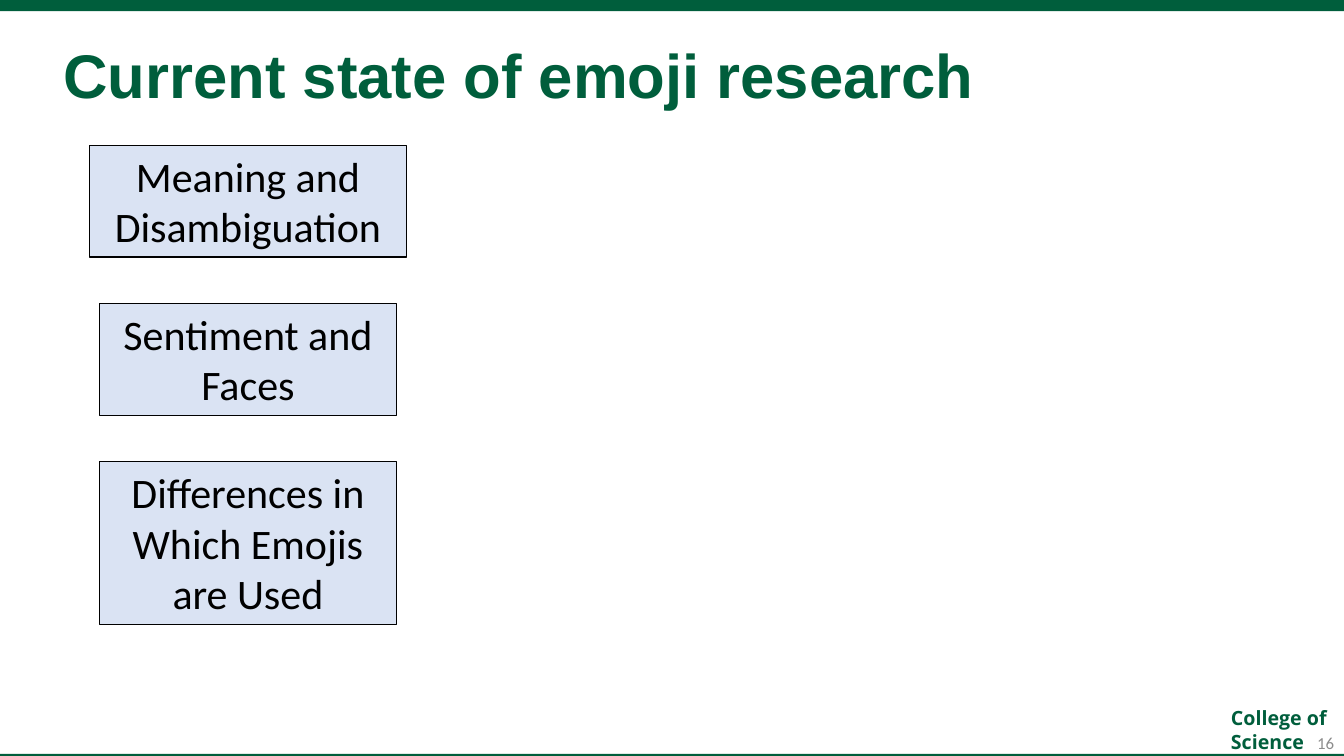
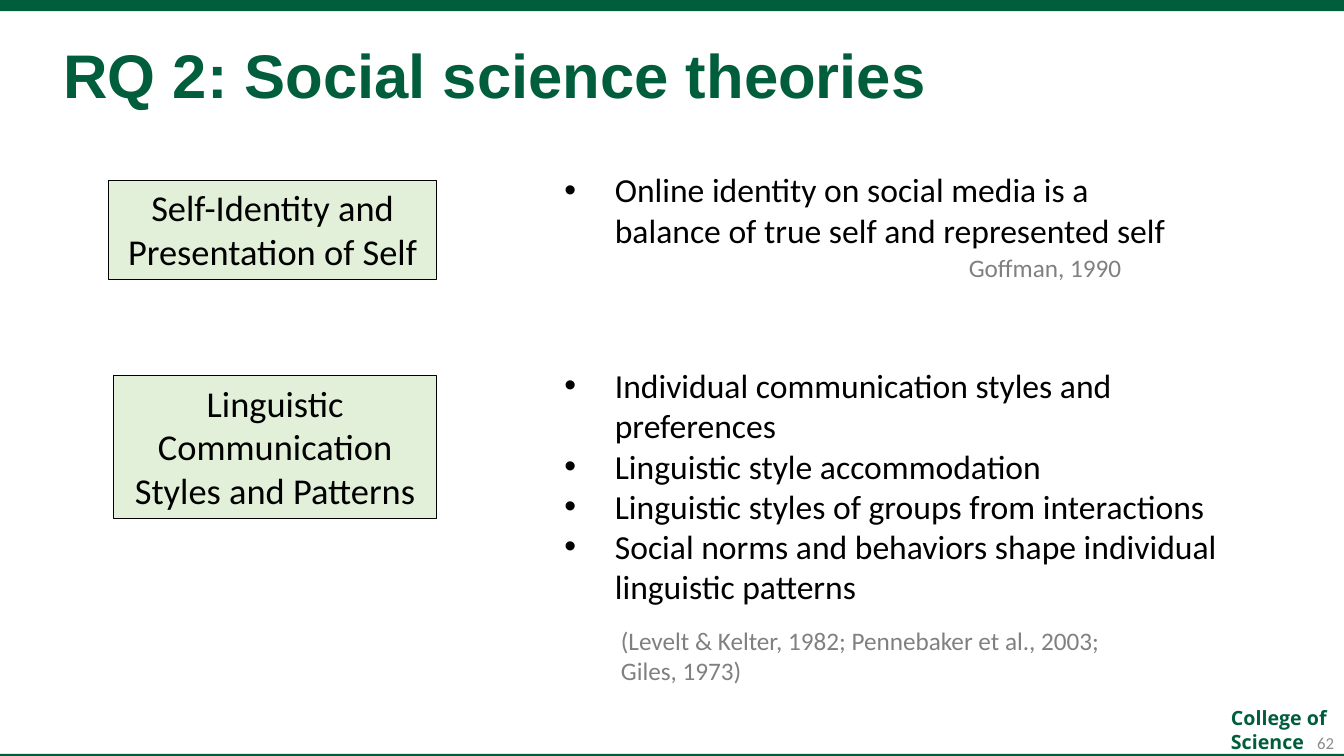
from dataclasses import dataclass

from lxml import etree
from pptx import Presentation
from pptx.dml.color import RGBColor
from pptx.enum import shapes, text
from pptx.oxml.ns import qn
from pptx.util import Inches, Pt


@dataclass(frozen=True)
class Theme:
    green: str = "005E3C"
    topic_blue: str = "DAE3F3"
    theory_green: str = "E2F0D9"
    ink: str = "000000"
    citation_gray: str = "808080"
    number_gray: str = "8C8C8C"
    title_font: str = "Arial"
    body_font: str = "Calibri"
    unit_font: str = "Open Sans"
    title_size: int = 44
    topic_size: int = 30
    theory_size: int = 26
    bullet_size: int = 24
    citation_size: int = 18
    unit_size: int = 14
    number_size: int = 12


THEME = Theme()
SLIDE_WIDTH, SLIDE_HEIGHT = 13.33, 7.5
BAND_HEIGHT = 0.11
BULLET_INDENT = 0.5


def inches(box):
    return [Inches(length) for length in box]


def write(shape, lines, size, color, font=THEME.body_font, bold=False,
          align=text.PP_ALIGN.LEFT, anchor=text.MSO_ANCHOR.TOP,
          grow=True, bullets=False, line_spacing=None):
    """Fill a shape with one paragraph per line, all in the same style."""
    frame = shape.text_frame
    frame.word_wrap = True
    frame.auto_size = (text.MSO_AUTO_SIZE.SHAPE_TO_FIT_TEXT if grow
                       else text.MSO_AUTO_SIZE.NONE)
    frame.vertical_anchor = anchor
    for index, line in enumerate(lines):
        paragraph = frame.add_paragraph() if index else frame.paragraphs[0]
        paragraph.alignment = align
        if line_spacing:
            paragraph.line_spacing = line_spacing
        if bullets:
            add_bullet(paragraph)
        run = paragraph.add_run()
        run.text = line
        run.font.name = font
        run.font.size = Pt(size)
        run.font.bold = bold
        run.font.color.rgb = RGBColor.from_string(color)


def add_bullet(paragraph):
    properties = paragraph._p.get_or_add_pPr()
    properties.set("marL", str(Inches(BULLET_INDENT)))
    properties.set("indent", str(-Inches(BULLET_INDENT)))
    etree.SubElement(properties, qn("a:buFont"), typeface="Arial")
    etree.SubElement(properties, qn("a:buChar"), char="•")


def add_text(slide, box, lines, size, color, **style):
    write(slide.shapes.add_textbox(*inches(box)), lines, size, color, **style)


def add_rectangle(slide, box, fill):
    rectangle = slide.shapes.add_shape(
        shapes.MSO_SHAPE.RECTANGLE, *inches(box))
    rectangle.shadow.inherit = False
    rectangle.fill.solid()
    rectangle.fill.fore_color.rgb = RGBColor.from_string(fill)
    return rectangle


def add_band(slide, top):
    band = add_rectangle(slide, (0, top, SLIDE_WIDTH, BAND_HEIGHT), THEME.green)
    band.line.fill.background()


def add_label(slide, box, label, fill, size):
    rectangle = add_rectangle(slide, box, fill)
    rectangle.line.color.rgb = RGBColor.from_string(THEME.ink)
    rectangle.line.width = Pt(0.75)
    write(rectangle, [label], size, THEME.ink, align=text.PP_ALIGN.CENTER)


def add_bullets(slide, box, points):
    add_text(slide, box, points, THEME.bullet_size, THEME.ink, bullets=True)


def add_citation(slide, box, citation):
    add_text(slide, box, [citation], THEME.citation_size, THEME.citation_gray)


def add_framed_slide(deck, title, number):
    """Add a slide with the shared bands, unit name, title and number."""
    slide = deck.slides.add_slide(deck.slide_layouts[6])
    for top in (0, 7.48):
        add_band(slide, top)
    add_text(slide, (12.11, 6.95, 1.48, 0.57), ["College of", "Science"],
             THEME.unit_size, THEME.green, font=THEME.unit_font, bold=True,
             anchor=text.MSO_ANCHOR.BOTTOM)
    add_text(slide, (0.53, 0.4, 11.89, 0.9), [title],
             THEME.title_size, THEME.green, font=THEME.title_font, bold=True,
             grow=False, line_spacing=0.9)
    add_text(slide, (10.33, 7.27, 3, 0.19), [str(number)],
             THEME.number_size, THEME.number_gray, grow=False,
             align=text.PP_ALIGN.RIGHT, anchor=text.MSO_ANCHOR.MIDDLE)
    return slide


def build_research_slide(deck):
    slide = add_framed_slide(deck, "Current state of emoji research", 16)
    topics = [
        ("Meaning and Disambiguation", 3.14, 1.11),
        ("Sentiment and Faces", 2.95, 1.11),
        ("Differences in Which Emojis are Used", 2.95, 1.62),
    ]
    center, top, gap = 2.46, 1.44, 0.46
    for topic, width, height in topics:
        add_label(slide, (center - width / 2, top, width, height), topic,
                  THEME.topic_blue, THEME.topic_size)
        top += height + gap


def build_theories_slide(deck):
    slide = add_framed_slide(deck, "RQ 2: Social science theories", 62)
    theories = [
        ("Self-Identity and Presentation of Self", (1.08, 1.79, 3.25, 0.98),
         ["Online identity on social media is a balance of true self and "
          "represented self"], (5.5, 1.63, 6.17, 0.91),
         "Goffman, 1990", (9.51, 2.45, 2.91, 0.4)),
        ("Linguistic Communication Styles and Patterns",
         (1.13, 3.73, 3.2, 1.41),
         ["Individual communication styles and preferences",
          "Linguistic style accommodation",
          "Linguistic styles of groups from interactions",
          "Social norms and behaviors shape individual linguistic patterns"],
         (5.5, 3.57, 6.92, 2.93),
         "(Levelt & Kelter, 1982; Pennebaker et al., 2003; Giles, 1973)",
         (6.06, 6.15, 5.04, 0.71)),
    ]
    for theory, label_box, points, points_box, citation, citation_box in theories:
        add_label(slide, label_box, theory,
                  THEME.theory_green, THEME.theory_size)
        add_bullets(slide, points_box, points)
        add_citation(slide, citation_box, citation)


def main():
    deck = Presentation()
    deck.slide_width = Inches(SLIDE_WIDTH)
    deck.slide_height = Inches(SLIDE_HEIGHT)
    build_research_slide(deck)
    build_theories_slide(deck)
    deck.save("out.pptx")


if __name__ == "__main__":
    main()
